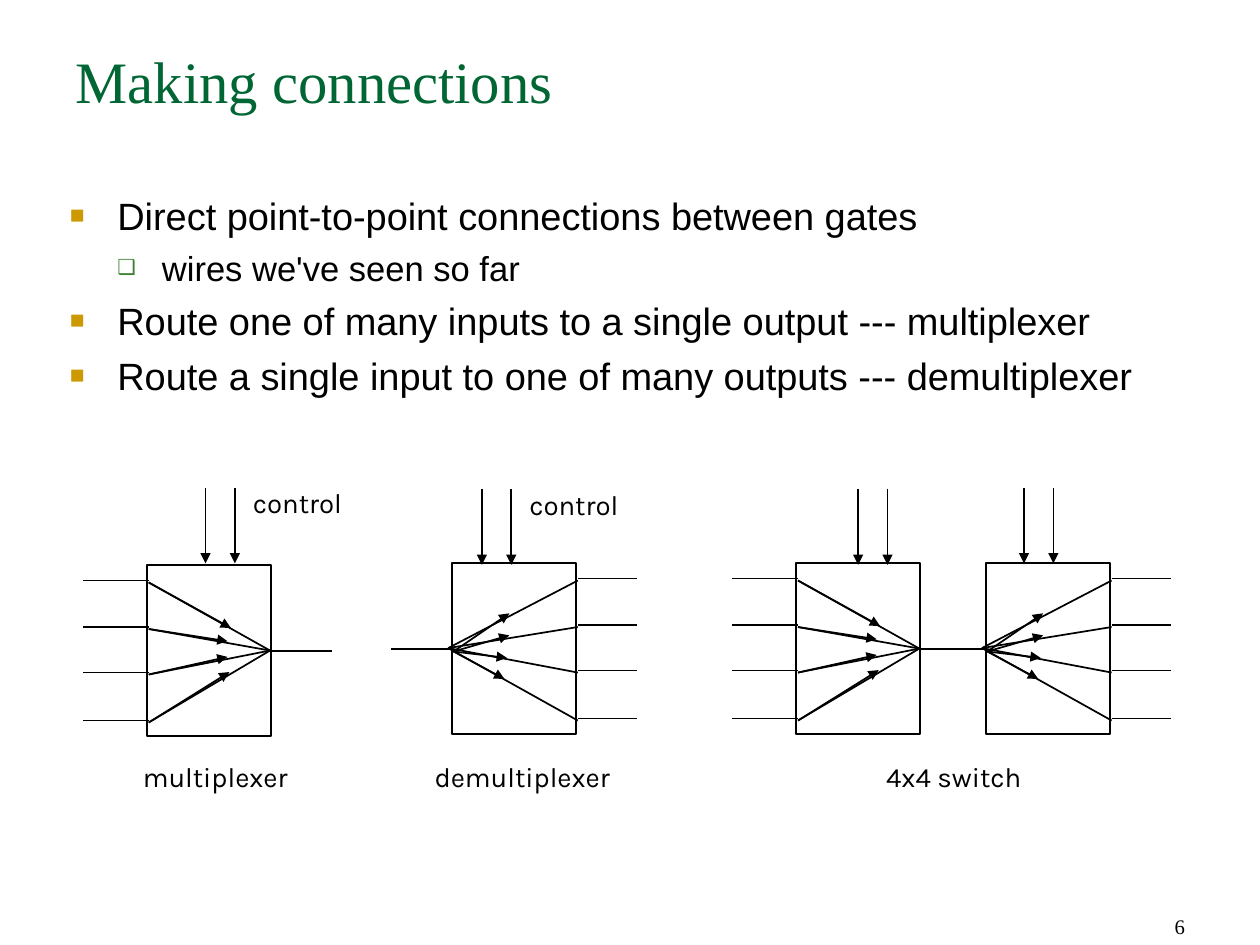
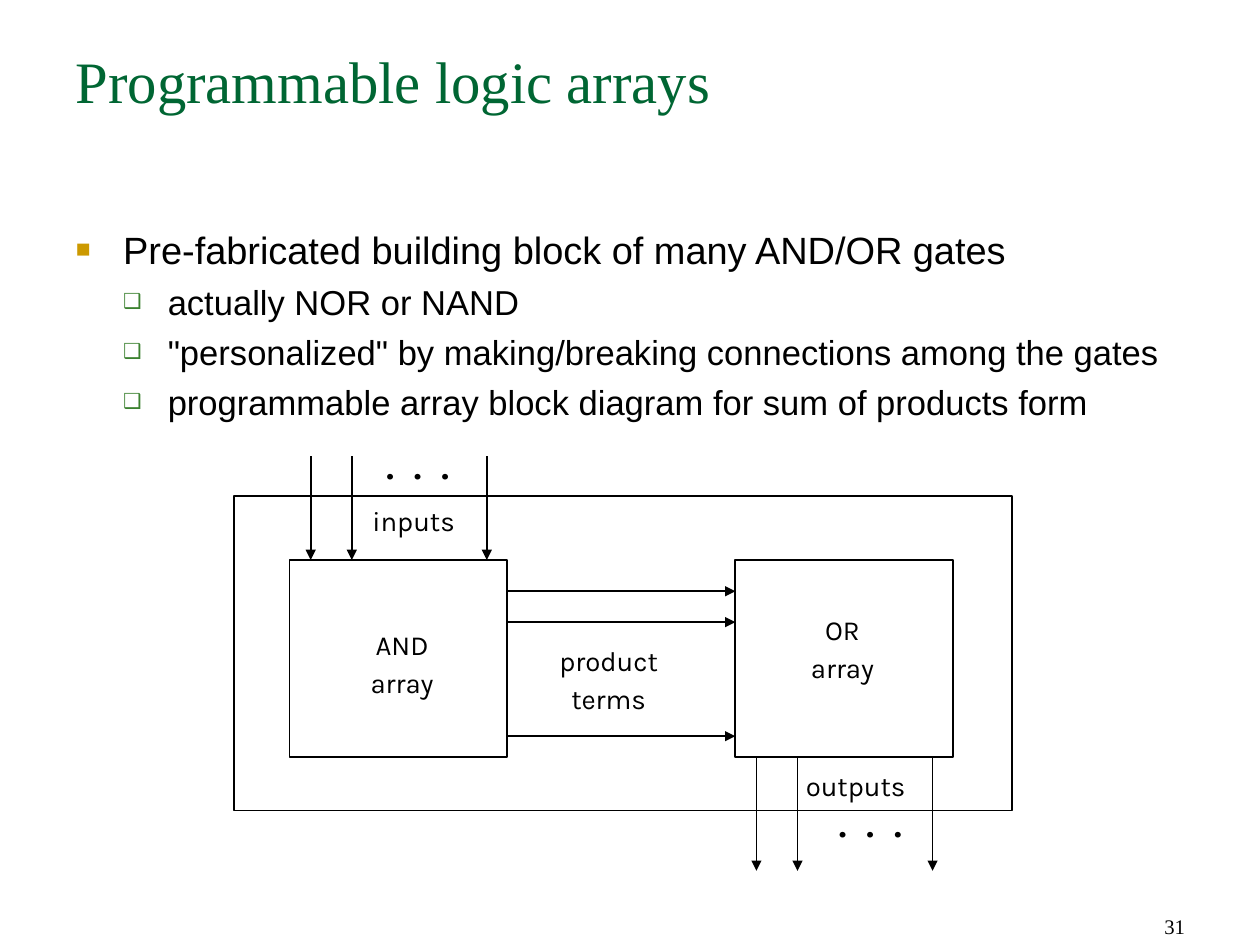
from lxml import etree
from pptx import Presentation
from pptx.dml.color import RGBColor
from pptx.enum.shapes import MSO_CONNECTOR, MSO_SHAPE
from pptx.enum.text import MSO_ANCHOR, PP_ALIGN
from pptx.oxml.ns import qn
from pptx.util import Cm, Pt

SLIDE_W, SLIDE_H = Pt(730), Pt(547.25)

GREEN = RGBColor(0x00, 0x66, 0x33)
GOLD = RGBColor(0xCC, 0x99, 0x00)
LEAF = RGBColor(0x3B, 0x81, 0x2F)
BLACK = RGBColor(0, 0, 0)
SERIF, SANS, LABEL = "Times New Roman", "Arial", "Karla"

# Bullet levels: text size, space before, left margin and hang (cm), mark
LEVELS = [
    dict(size=22, before=5.5, margin=0.97, hang=0.97, mark="■", color=GOLD, pct=65),
    dict(size=20, before=5, margin=1.88, hang=0.91, mark="❑", color=LEAF, pct=60),
]

# Slide content; all lengths in cm
CONNECTIONS = dict(
    title="Making connections", number="6", body_at=(1.18, 3.8),
    bullets=[
        (0, "Direct point-to-point connections between gates"),
        (1, "wires we've seen so far"),
        (0, "Route one of many inputs to a single output --- multiplexer"),
        (0, "Route a single input to one of many outputs --- demultiplexer"),
    ],
    # text, left, top, width
    labels=[
        ("multiplexer", 2.23, 15.35, 4.34),
        ("demultiplexer", 8.15, 15.35, 5.05),
        ("4x4 switch", 17.36, 15.35, 4.27),
        ("control", 4.48, 9.74, 3.2),
        ("control", 10.13, 9.78, 3.2),
    ],
)
ARRAYS = dict(
    title="Programmable logic arrays", number="31", body_at=(1.3, 4.5),
    bullets=[
        (0, "Pre-fabricated building block of many AND/OR gates"),
        (1, "actually NOR or NAND"),
        (1, "\"personalized\" by making/breaking connections among the gates"),
        (1, "programmable array block diagram for sum of products form"),
    ],
    labels=[
        ("inputs", 7.17, 10.12, 2.57),
        ("AND\narray", 6.71, 12.64, 3.02),
        ("outputs", 15.85, 15.52, 3.28),
        ("OR\narray", 14.64, 12.34, 5.16),
        ("product\nterms", 10.41, 12.97, 4.06),
    ],
    dots=[(7.32, 9.16, 2.44), (16.28, 16.47, 3.02)],
)

# Routing units: fan pattern, left, top, first control line x, control top
UNIT_W, UNIT_H = 2.54, 3.49
UNITS = [
    ("mux", 3.0, 11.55, 4.2, 9.96),
    ("demux", 9.24, 11.51, 9.85, 9.99),
    ("mux", 16.27, 11.51, 17.54, 9.99),
    ("demux", 20.15, 11.51, 20.93, 9.96),
]
CONTROL_GAP, CONTROL_LEN = 0.6, 1.55
WIRE_YS = [0.31, 1.26, 2.19, 3.17]
FAN_DROP = 0.04
# Offsets from the unit's corner: wire ends, fan focus, arrow tips
FANS = {
    "mux": dict(wire=(0.04, -1.3), focus=(2.52, 1.74), start=None,
                tips=[(1.72, 1.28), (1.65, 1.55), (1.65, 1.87), (1.69, 2.18)]),
    "demux": dict(wire=(2.57, 3.78), focus=(-0.08, 1.73), start=(0.03, 1.8),
                  tips=[(1.17, 1.02), (1.17, 1.47), (1.12, 1.93), (1.07, 2.36)]),
}
STUB = 1.25

# Logic array diagram
FRAME = (4.78, 10.14, 15.91, 6.42)
ARRAY_W, ARRAY_H, ARRAY_TOP = 4.45, 4.02, 11.44
AND_X, OR_X = 5.92, 15.03
PORT_XS = [0.43, 1.27, 4.03]
TERM_YS = [0.64, 1.27, 3.6]
INPUT_TOP, OUTPUT_END = 9.32, 17.79


def add_run(p, text, font, size, color=BLACK):
    r = p.add_run()
    r.text = text
    r.font.name, r.font.size, r.font.color.rgb = font, Pt(size), color
    return r


def text_box(s, x, y, w, h, inset=(0.25, 0.13)):
    tf = s.shapes.add_textbox(Cm(x), Cm(y), Cm(w), Cm(h)).text_frame
    tf.word_wrap = True
    tf.margin_left = tf.margin_right = Cm(inset[0])
    tf.margin_top = tf.margin_bottom = Cm(inset[1])
    return tf


def label(s, text, x, y, w):
    lines = text.split("\n")
    p = text_box(s, x, y, w, 0.4 + 0.78 * len(lines), (0.05, 0.08)).paragraphs[0]
    p.alignment, p.line_spacing = PP_ALIGN.CENTER, Pt(22)
    for i, part in enumerate(lines):
        if i:
            p.add_line_break()
        r = add_run(p, part, LABEL, 16)
    return r


def dots(s, x, y, w):
    r = label(s, "• • •", x, y, w)
    r.font._element.set("spc", "390")


def box(s, x, y, w, h):
    sp = s.shapes.add_shape(MSO_SHAPE.RECTANGLE, Cm(x), Cm(y), Cm(w), Cm(h))
    sp.shadow.inherit = False
    sp.fill.background()
    sp.line.color.rgb, sp.line.width = BLACK, Pt(1)
    return sp


def line(s, start, end, arrow=False):
    c = s.shapes.add_connector(MSO_CONNECTOR.STRAIGHT, *map(Cm, start + end))
    c.line.color.rgb, c.line.width = BLACK, Pt(1)
    if arrow:
        etree.SubElement(c.line._get_or_add_ln(), qn("a:tailEnd"), type="triangle")
    etree.SubElement(c._element.spPr, qn("a:effectLst"))
    return c


def add_bullet(p, level):
    pPr = p._p.get_or_add_pPr()
    pPr.set("marL", str(Cm(level["margin"])))
    pPr.set("indent", str(-Cm(level["hang"])))
    clr = etree.SubElement(pPr, qn("a:buClr"))
    etree.SubElement(clr, qn("a:srgbClr"), val=str(level["color"]))
    etree.SubElement(pPr, qn("a:buSzPct"), val=str(level["pct"] * 1000))
    etree.SubElement(pPr, qn("a:buFont"), typeface=SANS)
    etree.SubElement(pPr, qn("a:buChar"), char=level["mark"])


def base_slide(prs, content):
    s = prs.slides.add_slide(prs.slide_layouts[6])
    # Slide number
    tf = text_box(s, 18.45, 18.01, 6.02, 1.3)
    tf.vertical_anchor = MSO_ANCHOR.BOTTOM
    tf.paragraphs[0].alignment = PP_ALIGN.RIGHT
    add_run(tf.paragraphs[0], content["number"], SERIF, 12)
    # Title
    tf = text_box(s, 1.3, 0.79, 23.16, 3.2)
    add_run(tf.paragraphs[0], content["title"], SERIF, 34, GREEN)
    # Bullets
    tf = text_box(s, *content["body_at"], 23.16, 12.75)
    for i, (depth, text) in enumerate(content["bullets"]):
        p = tf.add_paragraph() if i else tf.paragraphs[0]
        level = LEVELS[depth]
        p.level = depth
        add_bullet(p, level)
        if i:
            p.space_before = Pt(level["before"])
        add_run(p, text, SANS, level["size"])
    # Diagram labels
    for item in content["labels"]:
        label(s, *item)
    return s


def routing_unit(s, kind, x, y, control_x, control_top):
    fan = FANS[kind]

    def at(offset):
        return x + offset[0], y + offset[1]

    unit = box(s, x, y, UNIT_W, UNIT_H)
    inner, outer = fan["wire"]
    for wire_y, tip in zip(WIRE_YS, fan["tips"]):
        port = (inner, wire_y + FAN_DROP)
        line(s, at((inner, wire_y)), at((outer, wire_y)))
        line(s, at(port), at(fan["focus"]))
        line(s, at(fan["start"] or port), at(tip), arrow=True)
    for cx in (control_x, control_x + CONTROL_GAP):
        line(s, (cx, control_top), (cx, control_top + CONTROL_LEN), arrow=True)
    return unit


def connections_slide(prs):
    s = base_slide(prs, CONNECTIONS)
    mux, demux, switch_in, switch_out = [routing_unit(s, *u) for u in UNITS]
    # Single output, single input, and the link inside the switch
    left = [u[1] for u in UNITS]
    right = [x + UNIT_W for x in left]
    mid = [u[2] + UNIT_H / 2 for u in UNITS]
    line(s, (right[0], mid[0]), (right[0] + STUB, mid[0])).begin_connect(mux, 3)
    line(s, (left[1], mid[1]), (left[1] - STUB, mid[1])).begin_connect(demux, 1)
    link = line(s, (right[2], mid[2]), (left[3], mid[3]))
    link.begin_connect(switch_in, 3)
    link.end_connect(switch_out, 1)


def arrays_slide(prs):
    s = base_slide(prs, ARRAYS)
    box(s, *FRAME)
    for x in (AND_X, OR_X):
        box(s, x, ARRAY_TOP, ARRAY_W, ARRAY_H)
    # Inputs from above, outputs below, product terms between
    for dx in PORT_XS:
        line(s, (AND_X + dx, INPUT_TOP), (AND_X + dx, ARRAY_TOP), arrow=True)
        line(s, (OR_X + dx, ARRAY_TOP + ARRAY_H), (OR_X + dx, OUTPUT_END), arrow=True)
    for dy in TERM_YS:
        y = ARRAY_TOP + dy
        line(s, (AND_X + ARRAY_W, y), (OR_X, y), arrow=True)
    for place in ARRAYS["dots"]:
        dots(s, *place)


def main():
    prs = Presentation()
    prs.slide_width, prs.slide_height = SLIDE_W, SLIDE_H
    connections_slide(prs)
    arrays_slide(prs)
    prs.save("out.pptx")


if __name__ == "__main__":
    main()
